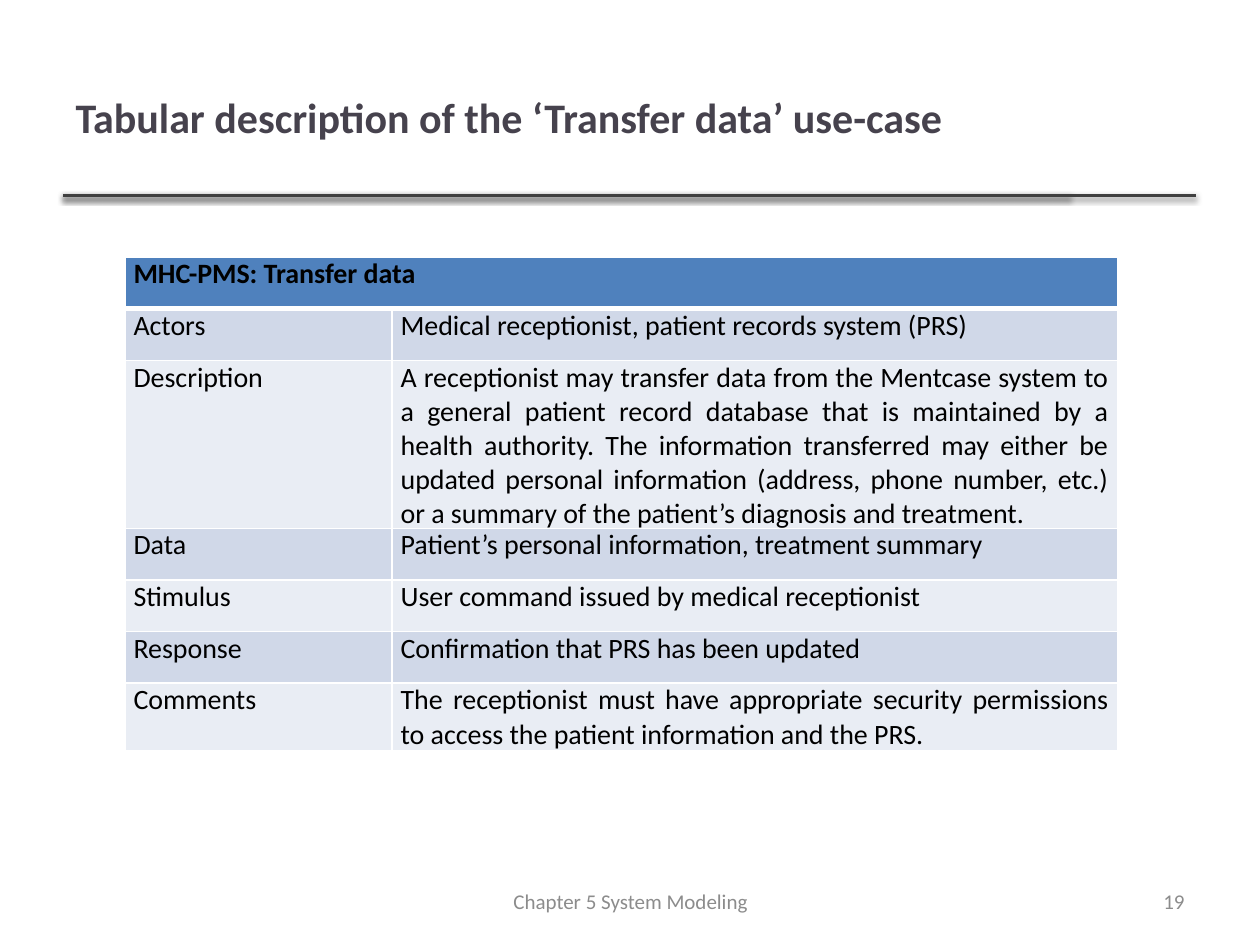
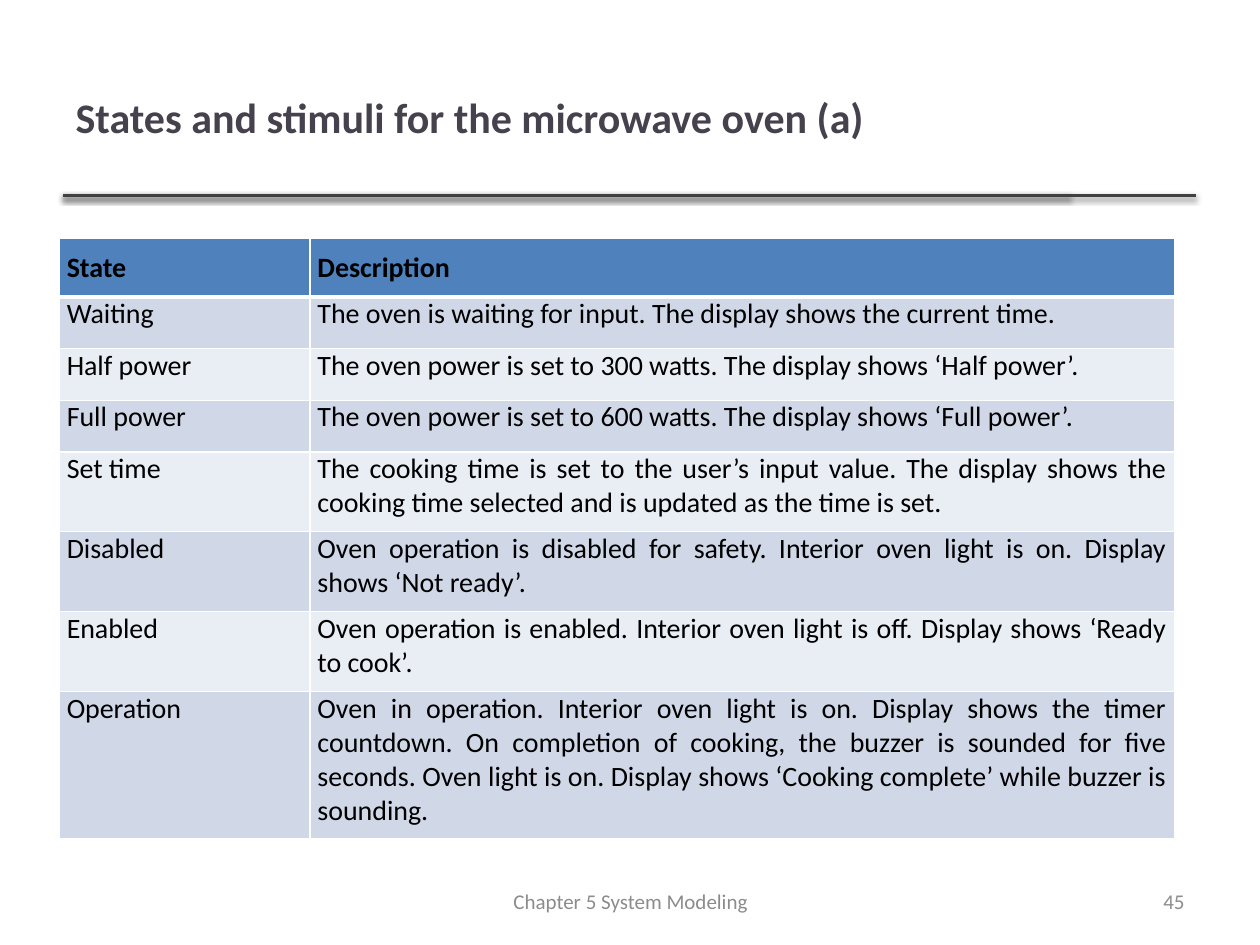
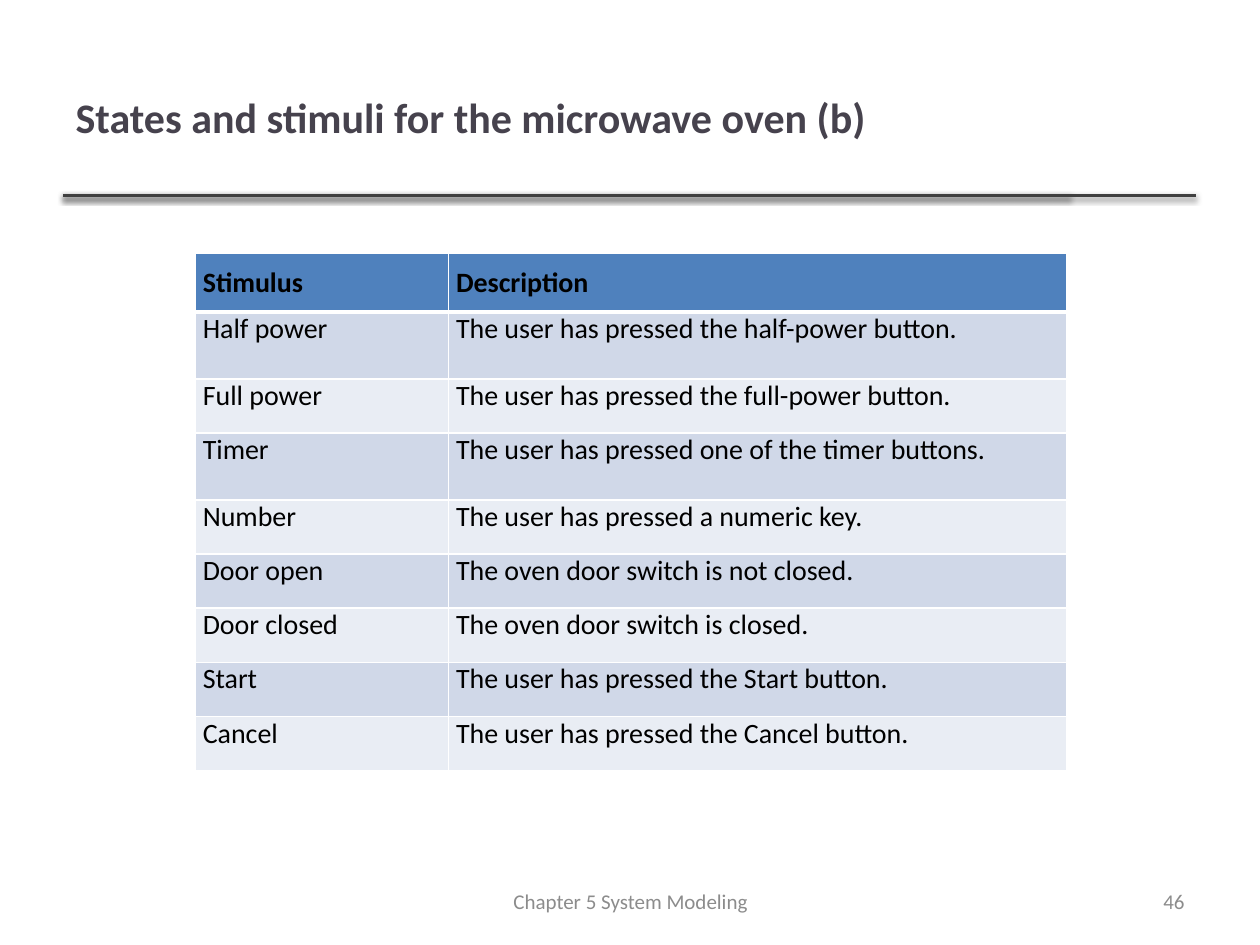
from lxml import etree
from pptx import Presentation
from pptx.dml.color import RGBColor
from pptx.enum.shapes import MSO_CONNECTOR
from pptx.enum.text import MSO_ANCHOR, PP_ALIGN
from pptx.oxml.ns import qn
from pptx.util import Inches, Pt

STRAIGHT = MSO_CONNECTOR.STRAIGHT
MIDDLE = MSO_ANCHOR.MIDDLE
LEFT, CENTER, RIGHT, JUSTIFY = PP_ALIGN.LEFT, PP_ALIGN.CENTER, PP_ALIGN.RIGHT, PP_ALIGN.JUSTIFY

FONT = "Calibri"
COLORS = {
    "title": "46424D",
    "rule": "404040",
    "shadow": "000000",
    "footer": "8C8C8C",
    "text": "000000",
    "header": "4F81BD",
    "odd_row": "D0D8E8",
    "even_row": "E9EDF4",
    "border": "FFFFFF",
}
TITLE_BOX = (0.5, 0.3, 7.98, 1.25)
CHAPTER_BOX = (3.42, 6.95, 3.17, 0.4)
NUMBER_BOX = (7.17, 6.95, 2.33, 0.4)
RULE_LEFT, RULE_TOP = 0.5, 1.55
RULE_ENDS = (8.49, 9.49)
CHAPTER = "Chapter 5 System Modeling"

TRANSFER_ROWS = [
    ("MHC-PMS: Transfer data", ""),
    ("Actors", "Medical receptionist, patient records system (PRS)"),
    ("Description",
     "A receptionist may transfer data from the Mentcase system to a general patient record "
     "database that is maintained by a health authority. The information transferred may either "
     "be updated personal information (address, phone number, etc.) or a summary of the "
     "patient’s diagnosis and treatment."),
    ("Data", "Patient’s personal information, treatment summary"),
    ("Stimulus", "User command issued by medical receptionist"),
    ("Response", "Confirmation that PRS has been updated"),
    ("Comments",
     "The receptionist must have appropriate security permissions to access the patient "
     "information and the PRS."),
]
STATE_ROWS = [
    ("State", "Description"),
    ("Waiting", "The oven is waiting for input. The display shows the current time."),
    ("Half power", "The oven power is set to 300 watts. The display shows ‘Half power’."),
    ("Full power", "The oven power is set to 600 watts. The display shows ‘Full power’."),
    ("Set time",
     "The cooking time is set to the user’s input value. The display shows the cooking time "
     "selected and is updated as the time is set."),
    ("Disabled",
     "Oven operation is disabled for safety. Interior oven light is on. Display shows "
     "‘Not ready’."),
    ("Enabled",
     "Oven operation is enabled. Interior oven light is off. Display shows ‘Ready to cook’."),
    ("Operation",
     "Oven in operation. Interior oven light is on. Display shows the timer countdown. On "
     "completion of cooking, the buzzer is sounded for five seconds. Oven light is on. Display "
     "shows ‘Cooking complete’ while buzzer is sounding."),
]
STIMULUS_ROWS = [
    ("Stimulus", "Description"),
    ("Half power", "The user has pressed the half-power button."),
    ("Full power", "The user has pressed the full-power button."),
    ("Timer", "The user has pressed one of the timer buttons."),
    ("Number", "The user has pressed a numeric key."),
    ("Door open", "The oven door switch is not closed."),
    ("Door closed", "The oven door switch is closed."),
    ("Start", "The user has pressed the Start button."),
    ("Cancel", "The user has pressed the Cancel button."),
]

# Cell insets are (side, header top, body top, bottom).
SLIDES = [
    dict(title="Tabular description of the ‘Transfer data’ use-case", number=19,
         rows=TRANSFER_ROWS, box=(0.99, 2.04, 7.88, 4.16), first_column=2.12,
         row_height=0.41, insets=(0.07, 0, 0, 0)),
    dict(title="States and stimuli for the microwave oven (a)", number=45,
         rows=STATE_ROWS, box=(0.47, 1.89, 8.85, 4.75), first_column=1.99,
         row_height=0.41, insets=(0.06, 0.1, 0, 0.1)),
    dict(title="States and stimuli for the microwave oven (b)", number=46,
         rows=STIMULUS_ROWS, box=(1.55, 2.01, 6.92, 4.11), first_column=2.01,
         row_height=0.43, insets=(0.06, 0.1, 0, 0.1), tall_rows={1: 0.53, 3: 0.53}),
]


def rgb(name):
    return RGBColor.from_string(COLORS[name])


def write(frame, text, size, color, align, bold=False):
    frame.text = text
    paragraph = frame.paragraphs[0]
    paragraph.alignment = align
    for run in paragraph.runs:
        run.font.name = FONT
        run.font.size = Pt(size)
        run.font.bold = bold
        run.font.color.rgb = rgb(color)


def add_color(parent, name):
    fill = etree.SubElement(parent, qn("a:solidFill"))
    etree.SubElement(fill, qn("a:srgbClr"), val=COLORS[name])


def add_title(slide, text, box):
    title = slide.shapes.title
    title.left, title.top, title.width, title.height = map(Inches, box)
    title.text_frame.vertical_anchor = MIDDLE
    write(title.text_frame, text, 24, "title", LEFT, bold=True)


def add_rule(slide, left, top, right):
    rule = slide.shapes.add_connector(STRAIGHT, *map(Inches, (left, top, right, top)))
    rule.line.color.rgb = rgb("rule")
    rule.line.width = Pt(2)
    effects = etree.SubElement(rule._element.spPr, qn("a:effectLst"))
    shadow = etree.SubElement(effects, qn("a:outerShdw"), blurRad=str(Pt(3.1)),
                              dist=str(Pt(1.6)), dir="5400000", rotWithShape="0")
    shade = etree.SubElement(shadow, qn("a:srgbClr"), val=COLORS["shadow"])
    etree.SubElement(shade, qn("a:alpha"), val="38000")


def add_footer_text(slide, text, box, align):
    frame = slide.shapes.add_textbox(*map(Inches, box)).text_frame
    frame.word_wrap = True
    frame.vertical_anchor = MIDDLE
    write(frame, text, 12, "footer", align)


def set_borders(cell, top, bottom):
    """Draw the four cell edges, with top and bottom widths in points."""
    properties = cell._tc.get_or_add_tcPr()
    for edge, width in (("L", 1), ("R", 1), ("T", top), ("B", bottom)):
        line = etree.SubElement(properties, qn(f"a:ln{edge}"), w=str(Pt(width)))
        add_color(line, "border")


def format_cell(cell, text, row, insets):
    side, header_top, body_top, bottom = map(Inches, insets)
    is_header = row == 0
    cell.margin_left = cell.margin_right = side
    cell.margin_top = header_top if is_header else body_top
    cell.margin_bottom = bottom
    set_borders(cell, top=3 if row == 1 else 1, bottom=3 if is_header else 1)
    cell.fill.solid()
    band = "header" if is_header else "odd_row" if row % 2 else "even_row"
    cell.fill.fore_color.rgb = rgb(band)
    write(cell.text_frame, text, 16, "text", JUSTIFY, bold=is_header)


def add_description_table(slide, rows, box, first_column, row_height, insets, tall_rows):
    """Add a two-column table; a header without a second text spans both columns."""
    table_frame = slide.shapes.add_table(len(rows), 2, *map(Inches, box))
    table = table_frame.table
    table.columns[0].width = Inches(first_column)
    table.columns[1].width = Inches(box[2] - first_column)
    for r, texts in enumerate(rows):
        table.rows[r].height = Inches(tall_rows.get(r, row_height))
        for c, text in enumerate(texts):
            format_cell(table.cell(r, c), text, r, insets)
    if not rows[0][1]:
        table.cell(0, 0).merge(table.cell(0, 1))
    table_frame.height = Inches(box[3])


def add_table_slide(deck, title, number, rows, box, first_column, row_height, insets,
                    tall_rows={}):
    title_only = deck.slide_layouts.get_by_name("Title Only")
    slide = deck.slides.add_slide(title_only)
    for right in RULE_ENDS:
        add_rule(slide, RULE_LEFT, RULE_TOP, right)
    add_title(slide, title, TITLE_BOX)
    add_footer_text(slide, CHAPTER, CHAPTER_BOX, CENTER)
    add_footer_text(slide, str(number), NUMBER_BOX, RIGHT)
    add_description_table(slide, rows, box, first_column, row_height, insets, tall_rows)


def main():
    deck = Presentation()
    deck.slide_width, deck.slide_height = Inches(10), Inches(7.5)
    for content in SLIDES:
        add_table_slide(deck, **content)
    deck.save("out.pptx")


if __name__ == "__main__":
    main()
